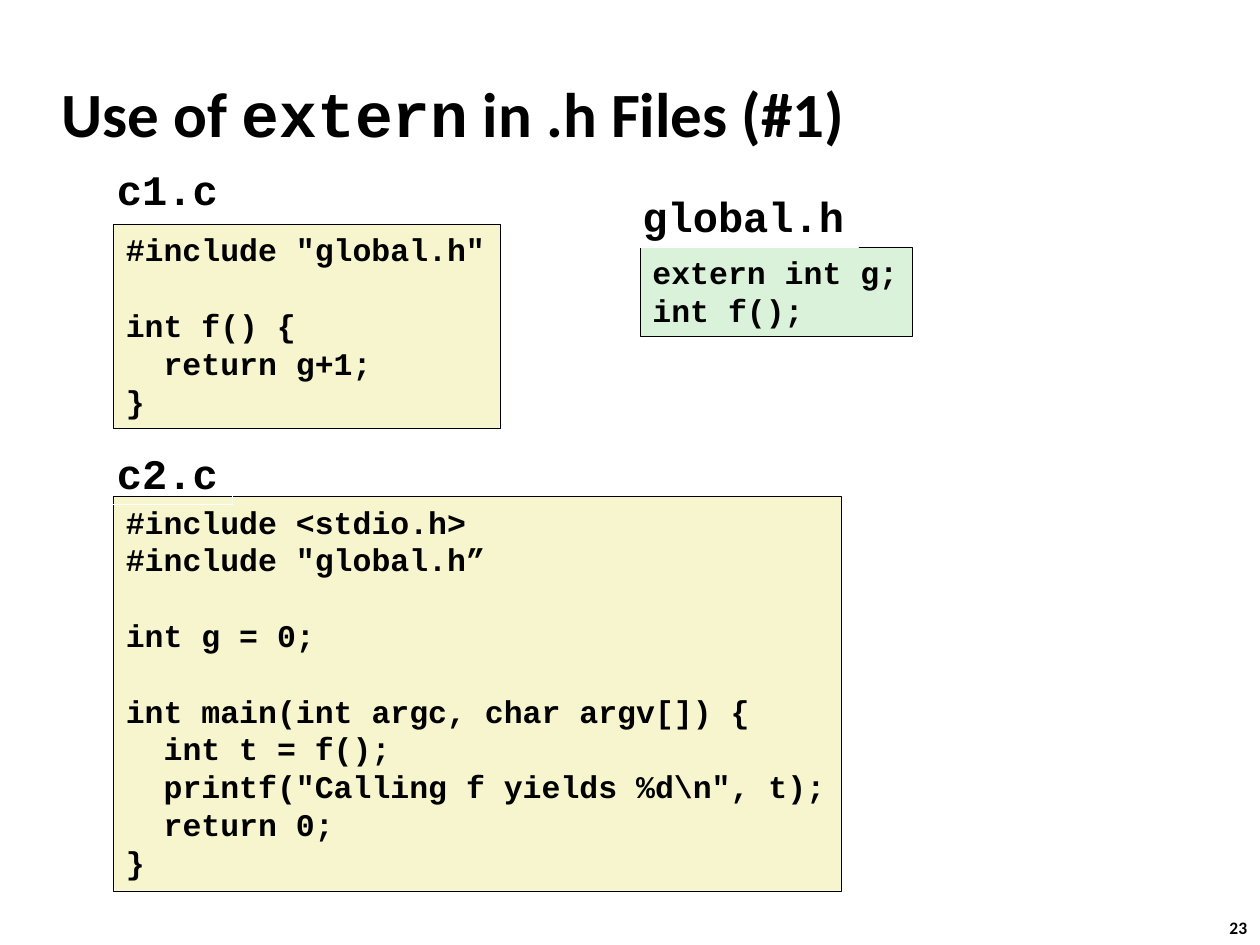
from dataclasses import dataclass

from pptx import Presentation
from pptx.dml.color import RGBColor
from pptx.enum.shapes import MSO_SHAPE as Shape
from pptx.enum.text import MSO_ANCHOR as Anchor, PP_ALIGN as Align
from pptx.util import Inches, Pt


@dataclass(frozen=True)
class Theme:
    """Colours, fonts and type sizes of the slide."""
    ink: str = "000000"
    paper: str = "FFFFFF"
    source_fill: str = "F7F5CD"
    header_fill: str = "DBF2DA"
    text_font: str = "Calibri"
    code_font: str = "Courier New"
    title_size: int = 36
    label_size: int = 24
    code_size: int = 18
    number_size: int = 10
    border: float = 0.25
    line_pitch: float = 1.2


THEME = Theme()

C1_CODE = """#include "global.h"

int f() {
  return g+1;
}"""

GLOBAL_CODE = """extern int g;
int f();"""

C2_CODE = """#include <stdio.h>
#include "global.h”

int g = 0;

int main(int argc, char argv[]) {
  int t = f();
  printf("Calling f yields %d\\n", t);
  return 0;
}"""


def style_run(run, font, size):
    """Format a run in the bold ink style."""
    run.font.name = font
    run.font.size = Pt(size)
    run.font.bold = True
    run.font.color.rgb = RGBColor.from_string(THEME.ink)


def add_text(slide, box, pieces, size):
    """Add a one-line text box from (text, font) pieces."""
    shape = slide.shapes.add_textbox(*map(Inches, box))
    text_frame = shape.text_frame
    text_frame.word_wrap = True
    text_frame.vertical_anchor = Anchor.MIDDLE
    for text, font in pieces:
        run = text_frame.paragraphs[0].add_run()
        run.text = text
        style_run(run, font, size)


def add_code_lines(text_frame, code, size):
    """Write code lines, turning each blank line into space before the next."""
    pitch = Pt(size * THEME.line_pitch)
    blocks = [block.split("\n") for block in code.split("\n\n")]
    text_frame.text = "\n".join(line for block in blocks for line in block)
    paragraphs = iter(text_frame.paragraphs)
    for block_index, block in enumerate(blocks):
        for line_index in range(len(block)):
            paragraph = next(paragraphs)
            paragraph.alignment = Align.LEFT
            paragraph.line_spacing = pitch
            if block_index and line_index == 0:
                paragraph.space_before = pitch
            for run in paragraph.runs:
                style_run(run, THEME.code_font, size)


def add_code_box(slide, box, code, size, border, fill=None):
    """Add a bordered rectangle holding monospaced text."""
    shape = slide.shapes.add_shape(Shape.RECTANGLE, *map(Inches, box))
    shape.shadow.inherit = False
    if fill:
        shape.fill.solid()
        shape.fill.fore_color.rgb = RGBColor.from_string(fill)
    else:
        shape.fill.background()
    shape.line.color.rgb = RGBColor.from_string(border)
    shape.line.width = Pt(THEME.border)
    text_frame = shape.text_frame
    text_frame.word_wrap = True
    text_frame.vertical_anchor = Anchor.TOP
    text_frame.margin_right = 0
    add_code_lines(text_frame, code, size)


def add_file(slide, name, label_box, code, code_box, fill):
    """Add a code listing with its file name above it."""
    add_code_box(slide, code_box, code, THEME.code_size, THEME.ink, fill)
    add_code_box(slide, label_box, name, THEME.label_size, THEME.paper)


def main():
    """Build and save the slide."""
    presentation = Presentation()
    presentation.slide_width = Inches(10)
    presentation.slide_height = Inches(7.5)
    slide = presentation.slides.add_slide(presentation.slide_layouts[6])

    title = [
        ("Use of ", THEME.text_font),
        ("extern", THEME.code_font),
        (" in .h Files (#1)", THEME.text_font),
    ]
    add_text(slide, (0.39, 0.48, 8.3, 0.83), title, THEME.title_size)
    add_text(slide, (9.66, 7.23, 0.37, 0.27), [("23", THEME.text_font)], THEME.number_size)

    files = [
        ("c1.c", (0.83, 1.25, 1.01, 0.5), C1_CODE, (0.9, 1.78, 3.07, 1.62), THEME.source_fill),
        ("global.h", (5, 1.46, 1.81, 0.5), GLOBAL_CODE, (5.08, 1.96, 2.16, 0.71), THEME.header_fill),
        ("c2.c", (0.83, 3.5, 1.01, 0.5), C2_CODE, (0.9, 3.94, 5.78, 3.13), THEME.source_fill),
    ]
    for file in files:
        add_file(slide, *file)

    presentation.save("out.pptx")


if __name__ == "__main__":
    main()
